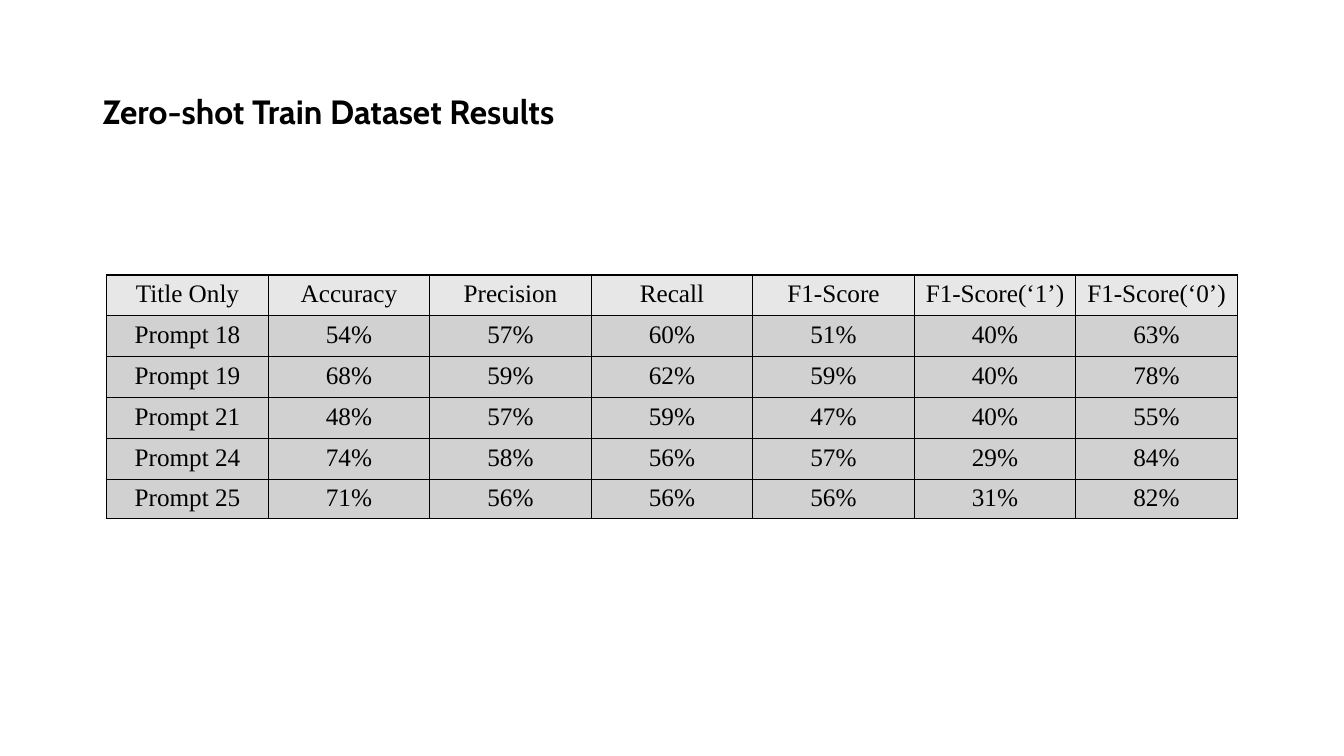
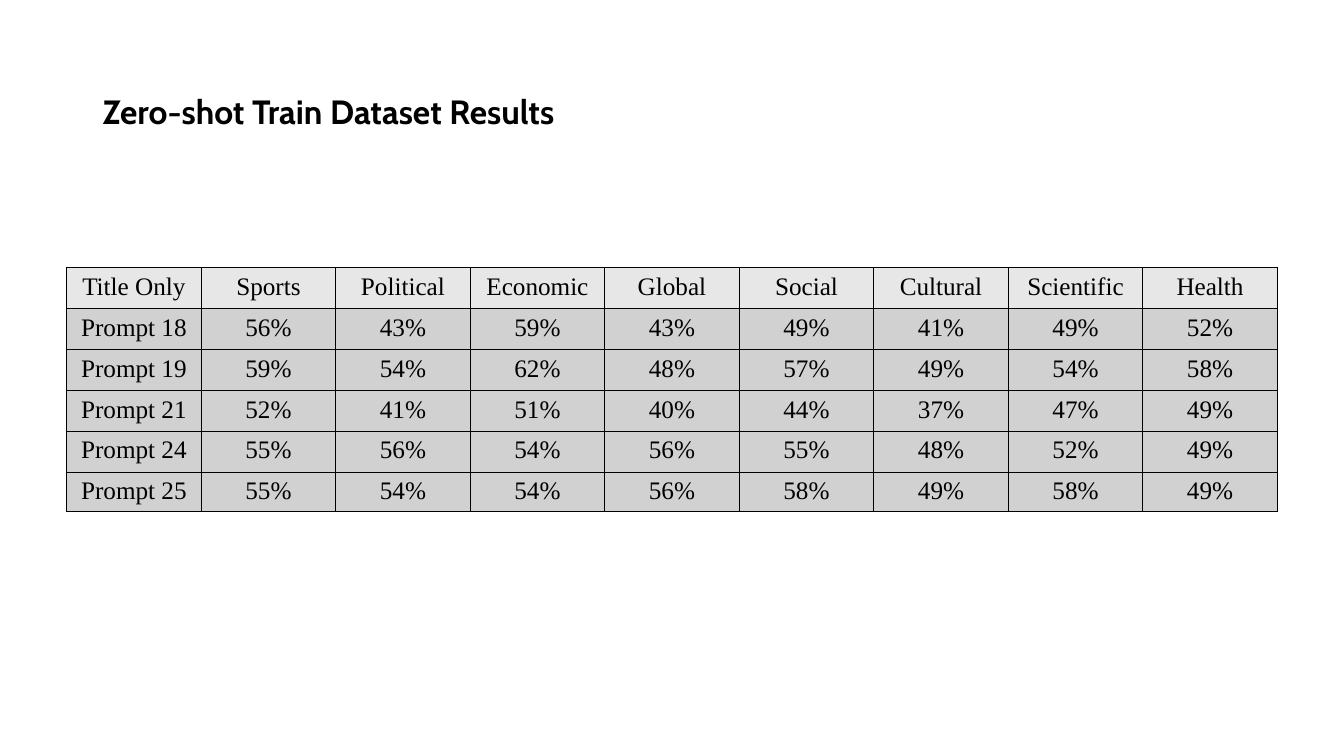
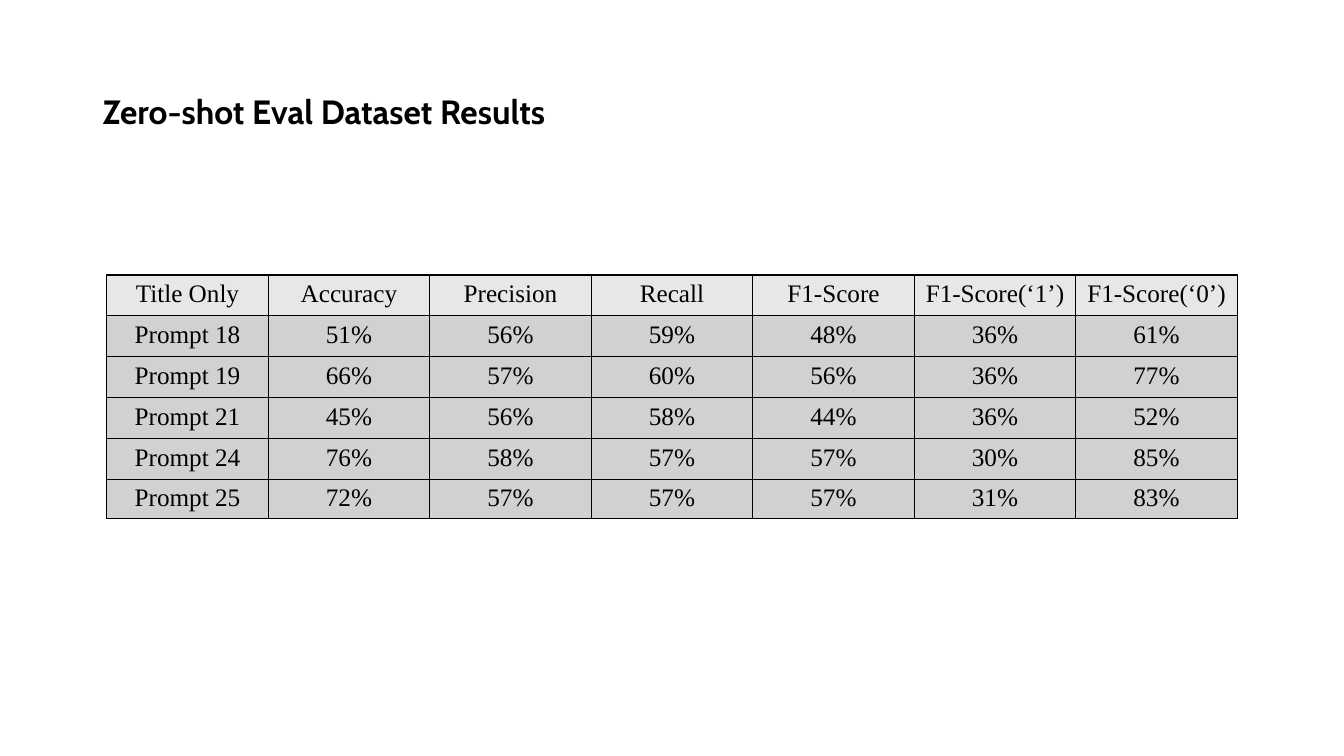
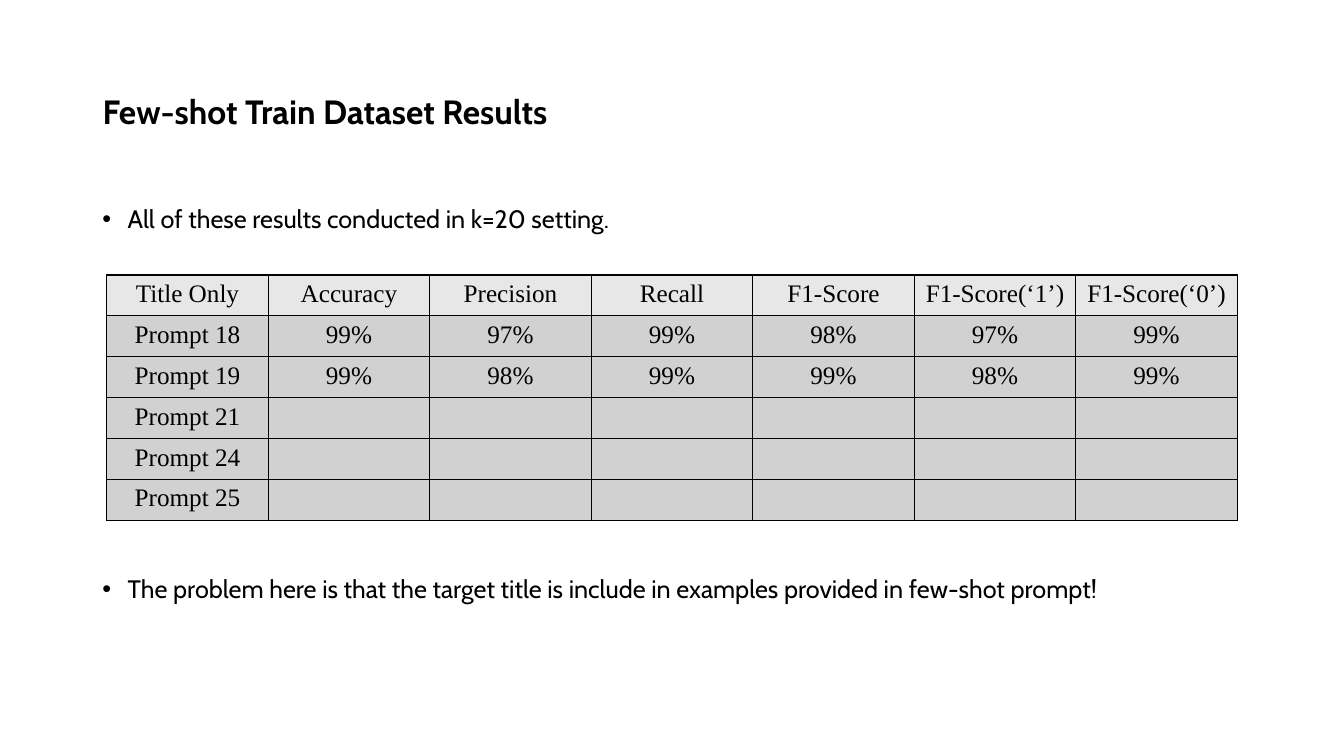
"""Build four slides of prompt evaluation results."""
from lxml import etree
from pptx import Presentation
from pptx.dml.color import RGBColor
from pptx.enum.text import MSO_ANCHOR, PP_ALIGN
from pptx.oxml.ns import qn
from pptx.util import Cm, Pt

BLACK = RGBColor(0x00, 0x00, 0x00)
HEADER_GREY = RGBColor(0xE7, 0xE7, 0xE7)
BODY_GREY = RGBColor(0xD1, 0xD1, 0xD1)
TEXT_FONT = "Cabin"
TABLE_FONT = "Times New Roman"
LEFT, CENTER = PP_ALIGN.LEFT, PP_ALIGN.CENTER
TOP, MIDDLE = MSO_ANCHOR.TOP, MSO_ANCHOR.MIDDLE
TITLE_ONLY = 5

ROW_HEIGHT = Cm(1.03)
LAST_ROW_HEIGHT = Cm(0.98)
BULLET_INDENT = Cm(0.64)

PROMPTS = ["Prompt 18", "Prompt 19", "Prompt 21", "Prompt 24", "Prompt 25"]
METRICS = ["Accuracy", "Precision", "Recall", "F1-Score", "F1-Score(‘1’)", "F1-Score(‘0’)"]
TOPICS = ["Sports", "Political", "Economic", "Global", "Social", "Cultural", "Scientific", "Health"]
METRIC_PLACE = (Cm(2.69), Cm(6.93), Cm(4.07))
TOPIC_PLACE = (Cm(1.68), Cm(6.75), Cm(3.39))

SLIDES = [
    ("Zero-shot Train Dataset Results", METRICS, METRIC_PLACE, [
        [54, 57, 60, 51, 40, 63],
        [68, 59, 62, 59, 40, 78],
        [48, 57, 59, 47, 40, 55],
        [74, 58, 56, 57, 29, 84],
        [71, 56, 56, 56, 31, 82],
    ], []),
    ("Zero-shot Train Dataset Results", TOPICS, TOPIC_PLACE, [
        [56, 43, 59, 43, 49, 41, 49, 52],
        [59, 54, 62, 48, 57, 49, 54, 58],
        [52, 41, 51, 40, 44, 37, 47, 49],
        [55, 56, 54, 56, 55, 48, 52, 49],
        [55, 54, 54, 56, 58, 49, 58, 49],
    ], []),
    ("Zero-shot Eval Dataset Results", METRICS, METRIC_PLACE, [
        [51, 56, 59, 48, 36, 61],
        [66, 57, 60, 56, 36, 77],
        [45, 56, 58, 44, 36, 52],
        [76, 58, 57, 57, 30, 85],
        [72, 57, 57, 57, 31, 83],
    ], []),
    ("Few-shot Train Dataset Results", METRICS, METRIC_PLACE, [
        [99, 97, 99, 98, 97, 99],
        [99, 98, 99, 99, 98, 99],
        [], [], [],
    ], [
        ("All of these results conducted in k=20 setting.", Pt(0)),
        ("The problem here is that the target title is include in examples provided in few-shot prompt!", Pt(245)),
    ]),
]


def write(paragraph, text, font, size, align, bold=False):
    paragraph.text = text
    paragraph.alignment = align
    for span in paragraph.runs:
        span.font.name = font
        span.font.size = Pt(size)
        span.font.bold = bold
        span.font.color.rgb = BLACK


def add_borders(cell):
    properties = cell._tc.get_or_add_tcPr()
    for side in ("a:lnL", "a:lnR", "a:lnT", "a:lnB"):
        line = etree.SubElement(properties, qn(side), w=str(Pt(1)))
        fill = etree.SubElement(line, qn("a:solidFill"))
        etree.SubElement(fill, qn("a:srgbClr"), val=str(BLACK))


deck = Presentation()
deck.slide_width, deck.slide_height = Cm(33.87), Cm(19.05)

for heading, columns, (left, top, column_width), scores, bullets in SLIDES:
    page = deck.slides.add_slide(deck.slide_layouts[TITLE_ONLY])
    title = page.shapes.title
    title.left, title.top, title.width, title.height = Cm(2.33), Cm(1.02), Cm(29.21), Cm(3.68)
    title.text_frame.vertical_anchor = MIDDLE
    paragraph = title.text_frame.paragraphs[0]
    write(paragraph, heading, TEXT_FONT, 24, LEFT, bold=True)
    paragraph.line_spacing = 0.9

    rows = [["Title Only"] + columns]
    for prompt, values in zip(PROMPTS, scores):
        rows.append([prompt] + [f"{value}%" for value in values])

    table = page.shapes.add_table(
        len(rows), len(rows[0]), left, top,
        column_width * len(rows[0]), ROW_HEIGHT * len(PROMPTS) + LAST_ROW_HEIGHT).table
    table.first_row = table.horz_banding = False
    for column in table.columns:
        column.width = column_width
    for row in table.rows:
        row.height = ROW_HEIGHT
    table.rows[len(PROMPTS)].height = LAST_ROW_HEIGHT

    for row_index, row in enumerate(table.rows):
        for cell in row.cells:
            add_borders(cell)
            cell.fill.solid()
            cell.fill.fore_color.rgb = BODY_GREY if row_index else HEADER_GREY
        for cell, text in zip(row.cells, rows[row_index]):
            write(cell.text_frame.paragraphs[0], text, TABLE_FONT, 18, CENTER)

    if bullets:
        frame = page.shapes.add_textbox(Cm(2.33), Cm(5.08), Cm(29.21), Cm(12.09)).text_frame
        frame.word_wrap = True
        frame.vertical_anchor = TOP
        for index, (text, gap) in enumerate(bullets):
            paragraph = frame.add_paragraph() if index else frame.paragraphs[0]
            write(paragraph, text, TEXT_FONT, 18, LEFT)
            paragraph.line_spacing = 0.9
            paragraph.space_before = gap
            properties = paragraph._p.get_or_add_pPr()
            properties.set("marL", str(BULLET_INDENT))
            properties.set("indent", str(-BULLET_INDENT))
            etree.SubElement(properties, qn("a:buFont"), typeface="Arial")
            etree.SubElement(properties, qn("a:buChar"), char="•")

deck.save("out.pptx")
